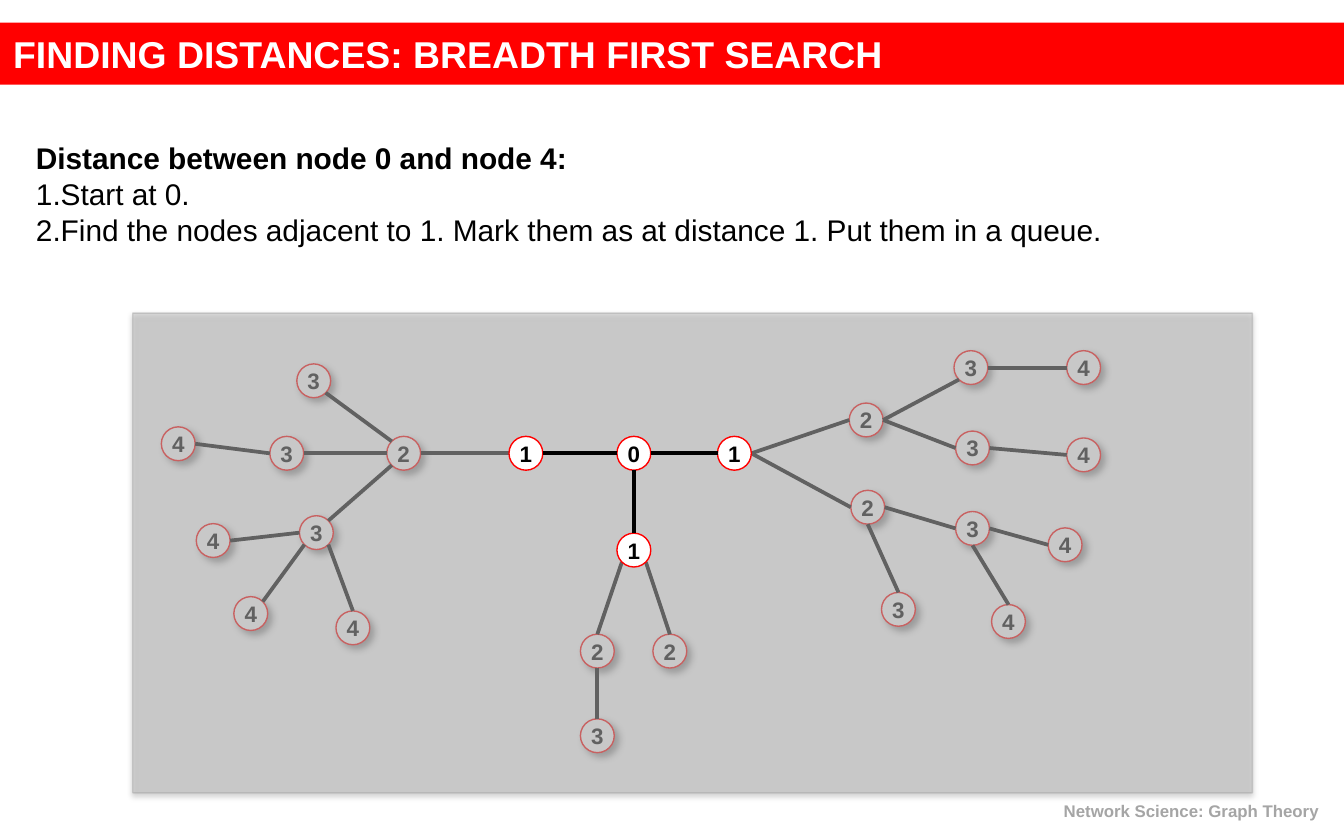
from dataclasses import dataclass
from math import cos, pi, sin

from lxml import etree
from pptx import Presentation
from pptx.dml.color import RGBColor
from pptx.enum.shapes import MSO_CONNECTOR, MSO_SHAPE
from pptx.enum.text import MSO_ANCHOR, MSO_AUTO_SIZE, PP_ALIGN
from pptx.oxml.ns import qn
from pptx.util import Cm, Pt

LINE = MSO_CONNECTOR.STRAIGHT
RECT, OVAL = MSO_SHAPE.RECTANGLE, MSO_SHAPE.OVAL
MIDDLE = MSO_ANCHOR.MIDDLE
GROW = MSO_AUTO_SIZE.SHAPE_TO_FIT_TEXT
LEFT, MID, RIGHT = PP_ALIGN.LEFT, PP_ALIGN.CENTER, PP_ALIGN.RIGHT


@dataclass(frozen=True)
class Theme:
    font: str = "Arial"
    red: str = "FF0000"
    black: str = "000000"
    white: str = "FFFFFF"
    veil: str = "BFBFBF"
    gray: str = "A5A5A5"
    title: float = 20
    body: float = 16
    label: float = 12
    foot: float = 9
    edge: float = 2
    rim: float = 0.75


THEME = Theme()
SIZE = 0.64
SIDES = ("E", "SE", "S", "SW", "W", "NW", "N", "NE")

# name: (x, y, parent, parent side, own side); the name starts with the distance
TREE = {
    "0": (11.98, 8.57, None, None, None),
    "1a": (9.94, 8.57, "0", "W", "E"),
    "1b": (13.88, 8.57, "0", "E", "W"),
    "1c": (11.98, 10.4, "0", "S", "N"),
    "2a": (7.63, 8.57, "1a", "W", "E"),
    "2b": (16.37, 7.94, "1b", "E", "W"),
    "2c": (16.4, 9.59, "1b", "E", "W"),
    "2d": (11.29, 12.31, "1c", "SW", "N"),
    "2e": (12.66, 12.31, "1c", "SE", "N"),
    "3a": (5.93, 7.2, "2a", "NW", "SE"),
    "3b": (5.42, 8.57, "2a", "W", "E"),
    "3c": (5.98, 10.07, "2a", "SW", "NE"),
    "3d": (18.35, 6.95, "2b", "E", "SW"),
    "3e": (18.38, 8.47, "2b", "E", "W"),
    "3f": (18.38, 9.99, "2c", "E", "W"),
    "3g": (16.98, 11.52, "2c", "S", "N"),
    "3h": (11.29, 13.91, "2d", "S", "N"),
    "4a": (3.37, 8.39, "3b", "W", "E"),
    "4b": (4.03, 10.22, "3c", "W", "E"),
    "4c": (4.74, 11.6, "3c", "SW", "NE"),
    "4d": (6.67, 11.87, "3c", "SE", "N"),
    "4e": (20.48, 6.95, "3d", "E", "W"),
    "4f": (20.48, 8.6, "3e", "E", "W"),
    "4g": (20.13, 10.3, "3f", "E", "W"),
    "4h": (19.06, 11.75, "3f", "S", "N"),
}


def tint(hue):
    return RGBColor.from_string(hue)


def fade(spot, part):
    for hue in spot:
        etree.SubElement(hue, qn("a:alpha"), val=str(part * 1000))


def shade(shape, part, blur, dist, turn):
    glow = shape._element.spPr.find(qn("a:effectLst"))
    drop = etree.SubElement(
        glow, qn("a:outerShdw"), blurRad=str(Pt(blur)), dist=str(Pt(dist)),
        dir=str(turn * 60000), rotWithShape="0")
    hue = etree.SubElement(drop, qn("a:srgbClr"), val=THEME.black)
    fade([hue], part)


def block(slide, kind, box, fill, line=None):
    shape = slide.shapes.add_shape(kind, *map(Cm, box))
    shape.shadow.inherit = False
    shape.fill.solid()
    shape.fill.fore_color.rgb = tint(fill)
    if line:
        shape.line.color.rgb = tint(line)
        shape.line.width = Pt(THEME.rim)
    else:
        shape.line.fill.background()
    return shape


def write(para, text, size, hue, bold=True, align=LEFT):
    para.alignment = align
    run = para.add_run()
    run.text = text
    font = run.font
    font.name, font.size, font.bold = THEME.font, Pt(size), bold
    font.color.rgb = tint(hue)


def text_box(slide, box):
    frame = slide.shapes.add_textbox(*map(Cm, box)).text_frame
    frame.word_wrap = True
    frame.auto_size = GROW
    return frame


def count(para):
    props = para._p.get_or_add_pPr()
    props.set("marL", "0")
    props.set("indent", str(-Cm(0.28)))
    etree.SubElement(props, qn("a:buFont"), typeface=THEME.font)
    etree.SubElement(props, qn("a:buAutoNum"), type="arabicPeriod")


def node(slide, name, dim):
    x, y = TREE[name][:2]
    box = (x - SIZE / 2, y - SIZE / 2, SIZE, SIZE)
    shape = block(slide, OVAL, box, THEME.white, THEME.red)
    if dim:
        shade(shape, 43, 4, 3, 45)
    frame = shape.text_frame
    frame.margin_left = frame.margin_right = 0
    frame.margin_top = frame.margin_bottom = 0
    frame.word_wrap = False
    frame.vertical_anchor = MIDDLE
    write(frame.paragraphs[0], name[0], THEME.label, THEME.black, align=MID)


def port(name, side):
    x, y = TREE[name][:2]
    turn = SIDES.index(side) * pi / 4
    return Cm(x + SIZE / 2 * cos(turn)), Cm(y + SIZE / 2 * sin(turn))


def edge(slide, name):
    top, out, into = TREE[name][2:]
    line = slide.shapes.add_connector(LINE, *port(top, out), *port(name, into))
    line.line.color.rgb = tint(THEME.black)
    line.line.width = Pt(THEME.edge)
    etree.SubElement(line._element.spPr, qn("a:effectLst"))


def graph(slide, names, dim):
    for name in names:
        node(slide, name, dim)
    for name in names:
        if TREE[name][2]:
            edge(slide, name)


def veil(slide):
    shape = block(slide, RECT, (2.51, 5.92, 21.16, 9.07), THEME.veil, THEME.gray)
    props = shape._element.spPr
    fade(props.xpath("./a:solidFill/a:srgbClr"), 51)
    fade(props.xpath("./a:ln/a:solidFill/a:srgbClr"), 48)
    shade(shape, 35, 3.1, 1.8, 90)


def steps(slide):
    frame = text_box(slide, (0.43, 2.11, 22.43, 2.72))
    head = frame.paragraphs[0]
    head.line_spacing = 1.6
    write(head, "Distance between node 0 and node 4:", THEME.body, THEME.black)
    for text in (
        "Start at 0.",
        "Find the nodes adjacent to 1. Mark them as at distance 1. Put them in a queue.",
    ):
        para = frame.add_paragraph()
        count(para)
        write(para, text, THEME.body, THEME.black, bold=False)


def title(slide):
    frame = block(slide, RECT, (0, 0.43, 25.4, 1.17), THEME.red).text_frame
    frame.vertical_anchor = MIDDLE
    write(frame.paragraphs[0], "FINDING DISTANCES: BREADTH FIRST SEARCH",
          THEME.title, THEME.white)


def footer(slide):
    frame = text_box(slide, (17.98, 15.01, 7.19, 0.64))
    write(frame.paragraphs[0], "Network Science: Graph Theory",
          THEME.foot, THEME.gray, align=RIGHT)


def main():
    deck = Presentation()
    deck.slide_width, deck.slide_height = Cm(25.4), Cm(15.88)
    slide = deck.slides.add_slide(deck.slide_layouts[6])
    graph(slide, [name for name in TREE if name[0] > "1"], True)
    veil(slide)
    steps(slide)
    footer(slide)
    title(slide)
    graph(slide, [name for name in TREE if name[0] <= "1"], False)
    deck.save("out.pptx")


if __name__ == "__main__":
    main()
